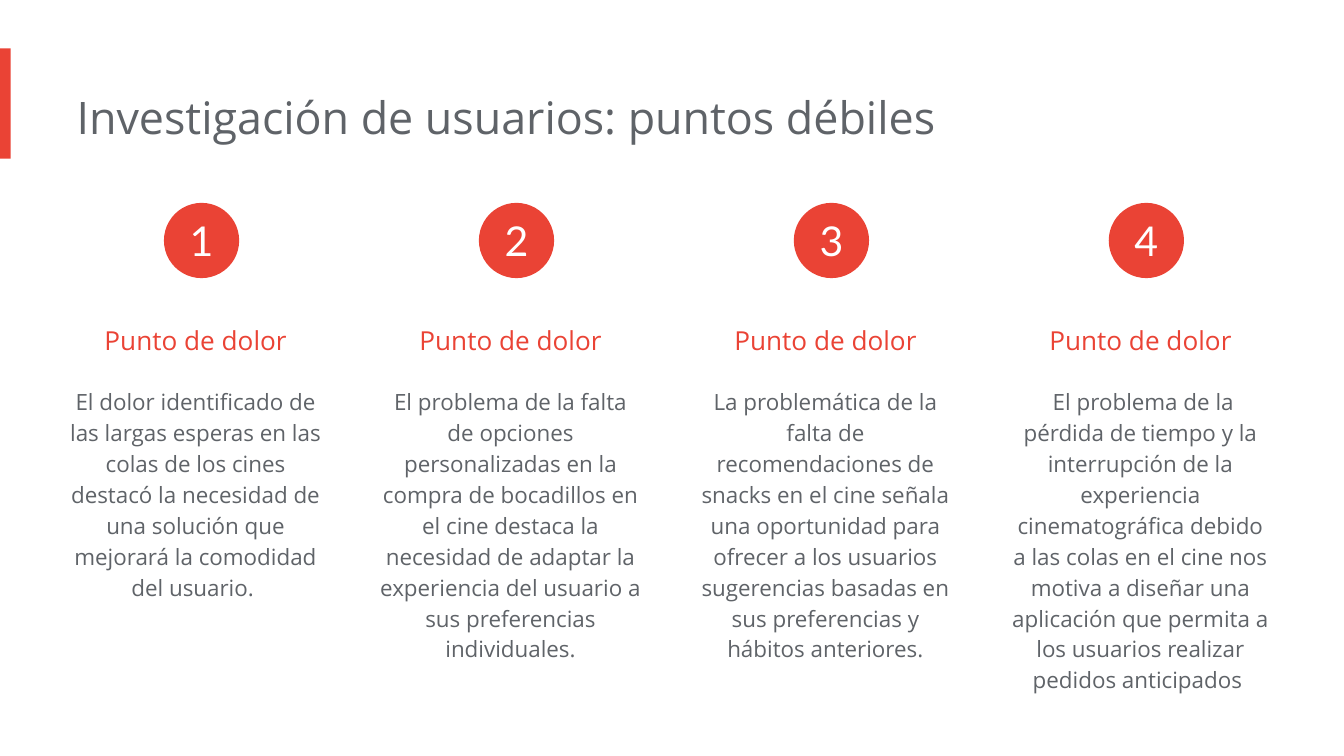
from dataclasses import dataclass

from pptx import Presentation
from pptx.dml.color import RGBColor
from pptx.enum import shapes, text
from pptx.util import Inches, Pt

COLORS = {"red": "EA4335", "gray": "5F6368", "white": "FFFFFF"}
SLIDE_WIDTH = 10
SLIDE_HEIGHT = SLIDE_WIDTH * 9 / 16
COLUMN_LEFT, COLUMN_WIDTH, COLUMN_PITCH = 0.48, 2.05, 7.03 / 3
CIRCLE_OFFSET, CIRCLE_TOP, CIRCLE_SIZE = 0.74, 1.51, 0.56

BOX_FORMAT = {
    "word_wrap": True,
    "auto_size": text.MSO_AUTO_SIZE.NONE,
    "vertical_anchor": text.MSO_ANCHOR.TOP,
    "margin_left": 0,
    "margin_top": Inches(0.1),
    "margin_right": Inches(0.1),
    "margin_bottom": Inches(0.1),
}
CIRCLE_FORMAT = {
    "word_wrap": True,
    "vertical_anchor": text.MSO_ANCHOR.MIDDLE,
    "margin_left": 0,
    "margin_top": 0,
    "margin_right": 0,
    "margin_bottom": 0,
}


@dataclass
class TextStyle:
    size: float
    color: str
    font: str = "Open Sans"
    align: text.PP_ALIGN = text.PP_ALIGN.CENTER
    line_spacing: float = 1.0


@dataclass
class PainPoint:
    heading: str
    description: str
    height: float


TITLE = TextStyle(24, "gray", align=text.PP_ALIGN.LEFT)
HEADING = TextStyle(14, "red", line_spacing=1.5)
DESCRIPTION = TextStyle(12, "gray", line_spacing=1.15)
NUMBER = TextStyle(22, "white", font="Lato")

PAIN_POINTS = [
    PainPoint(
        "Punto de dolor",
        "El dolor identificado de las largas esperas en las colas de los cines "
        "destacó la necesidad de una solución que mejorará la comodidad del usuario. ",
        1.8,
    ),
    PainPoint(
        "Punto de dolor",
        "El problema de la falta de opciones personalizadas en la compra de "
        "bocadillos en el cine destaca la necesidad de adaptar la experiencia "
        "del usuario a sus preferencias individuales.",
        2.26,
    ),
    PainPoint(
        "Punto de dolor",
        "La problemática de la falta de recomendaciones de snacks en el cine "
        "señala una oportunidad para ofrecer a los usuarios sugerencias basadas "
        "en sus preferencias y hábitos anteriores.",
        2.26,
    ),
    PainPoint(
        "Punto de dolor",
        " El problema de la pérdida de tiempo y la interrupción de la experiencia "
        "cinematográfica debido a las colas en el cine nos motiva a diseñar una "
        "aplicación que permita a los usuarios realizar pedidos anticipados ",
        2.96,
    ),
]


def set_attributes(target, values: dict) -> None:
    for name, value in values.items():
        setattr(target, name, value)


def write_text(shape, content: str, style: TextStyle, frame_format: dict) -> None:
    set_attributes(shape.text_frame, frame_format)
    paragraph = shape.text_frame.paragraphs[0]
    paragraph.text = content
    set_attributes(
        paragraph, {"alignment": style.align, "line_spacing": style.line_spacing}
    )
    font = paragraph.runs[0].font
    set_attributes(font, {"name": style.font, "size": Pt(style.size)})
    font.color.rgb = RGBColor.from_string(COLORS[style.color])


def add_filled_shape(slide, kind, left: float, top: float, width: float, height: float):
    shape = slide.shapes.add_shape(
        kind, Inches(left), Inches(top), Inches(width), Inches(height)
    )
    shape.shadow.inherit = False
    shape.fill.solid()
    shape.fill.fore_color.rgb = RGBColor.from_string(COLORS["red"])
    shape.line.fill.background()
    return shape


def add_column_text(
    slide, left: float, top: float, height: float, content: str, style: TextStyle
) -> None:
    box = slide.shapes.add_textbox(
        Inches(left), Inches(top), Inches(COLUMN_WIDTH), Inches(height)
    )
    write_text(box, content, style, BOX_FORMAT)


def add_pain_point(slide, index: int, point: PainPoint) -> None:
    left = COLUMN_LEFT + index * COLUMN_PITCH
    add_column_text(slide, left, 2.2, 0.44, point.heading, HEADING)
    add_column_text(slide, left, 2.76, point.height, point.description, DESCRIPTION)
    circle = add_filled_shape(
        slide, shapes.MSO_SHAPE.OVAL,
        left + CIRCLE_OFFSET, CIRCLE_TOP, CIRCLE_SIZE, CIRCLE_SIZE,
    )
    write_text(circle, str(index + 1), NUMBER, CIRCLE_FORMAT)


def main() -> None:
    presentation = Presentation()
    set_attributes(presentation, {
        "slide_width": Inches(SLIDE_WIDTH), "slide_height": Inches(SLIDE_HEIGHT),
    })
    slide = presentation.slides.add_slide(presentation.slide_layouts[5])
    add_filled_shape(slide, shapes.MSO_SHAPE.RECTANGLE, 0, 0.36, 0.08, 0.82)

    title = slide.shapes.title
    set_attributes(title, {
        "left": Inches(0.57), "top": Inches(0.57),
        "width": Inches(6.73), "height": Inches(0.61),
    })
    write_text(title, "Investigación de usuarios: puntos débiles", TITLE, BOX_FORMAT)

    for index, point in enumerate(PAIN_POINTS):
        add_pain_point(slide, index, point)
    presentation.save("out.pptx")


if __name__ == "__main__":
    main()
